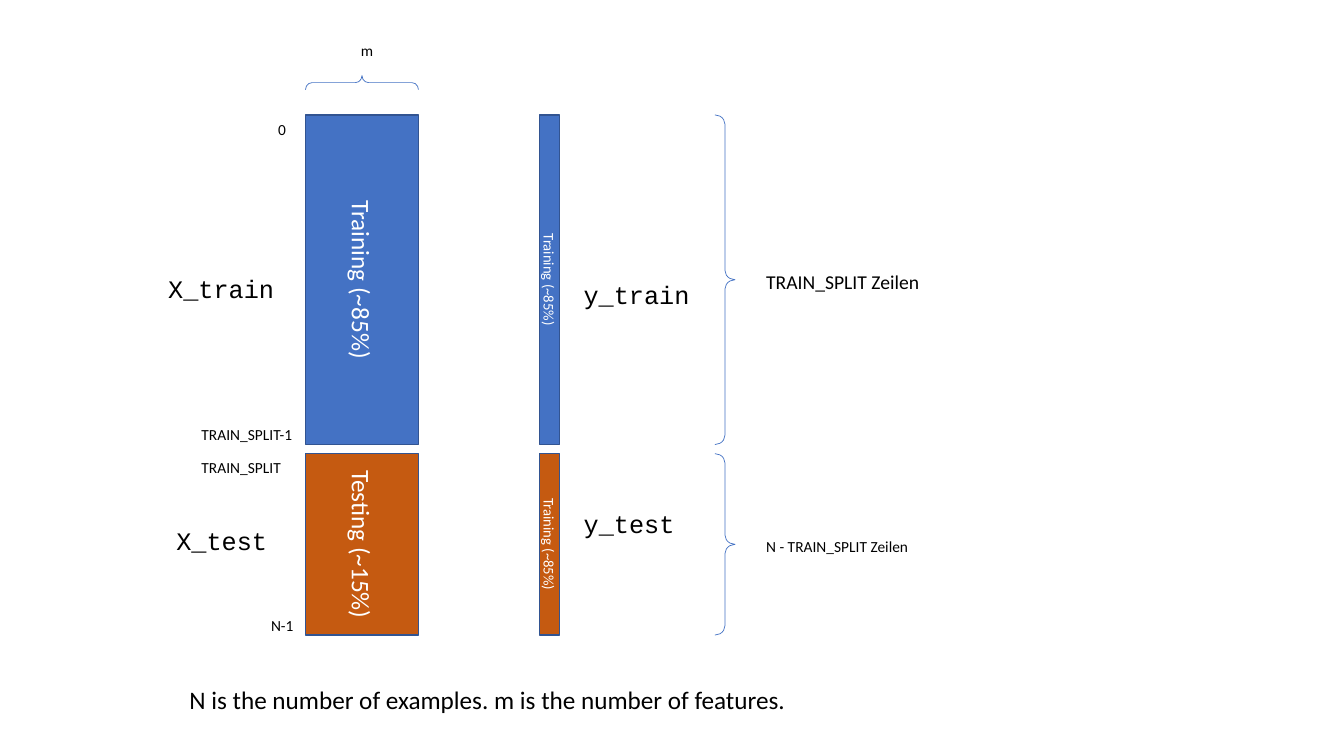
from pptx import Presentation
from pptx.dml.color import RGBColor
from pptx.enum.shapes import MSO_SHAPE
from pptx.enum.text import MSO_ANCHOR, MSO_AUTO_SIZE, PP_ALIGN
from pptx.util import Inches, Pt

RECTANGLE = MSO_SHAPE.RECTANGLE
LEFT_BRACE = MSO_SHAPE.LEFT_BRACE
MIDDLE = MSO_ANCHOR.MIDDLE
CENTER = PP_ALIGN.CENTER
FIT_SHAPE = MSO_AUTO_SIZE.SHAPE_TO_FIT_TEXT

COLORS = {"train": "4472C4", "test": "C55A11", "outline": "325491",
          "brace": "4472C4", "text": "000000", "bar_text": "FFFFFF"}
BODY, CODE = "Calibri", "Courier New"

# Grid in inches: (start, extent) of each column and row
COLUMNS = {"X": (3.03, 1.12), "y": (5.35, 0.2), "braces": (7.09, 0.2)}
ROWS = {"features": (0.75, 0.14), "train": (1.14, 3.27), "test": (4.5, 1.8)}
LINE_HEIGHT = {11: 0.29, 14: 0.34, 18: 0.4}
INDEX_LEFT, CODE_LEFT, COUNT_LEFT = 1.9, 5.69, 7.5


def color(name):
    return RGBColor.from_string(COLORS[name])


def format_text(text_frame, text, size, font_name, color_name):
    text_frame.text = text
    font = text_frame.paragraphs[0].runs[0].font
    font.size, font.name = Pt(size), font_name
    font.color.rgb = color(color_name)


def add_rotated(slide, kind, column, row, rotation, line_color, line_width):
    """Add a shape that fills a grid cell once it has been rotated."""
    (left, width), (top, height) = COLUMNS[column], ROWS[row]
    center_x, center_y = left + width / 2, top + height / 2
    if rotation == 90:
        width, height = height, width
    shape = slide.shapes.add_shape(
        kind, Inches(center_x - width / 2), Inches(center_y - height / 2),
        Inches(width), Inches(height))
    shape.rotation = rotation
    shape.shadow.inherit = False
    shape.line.color.rgb = color(line_color)
    shape.line.width = Pt(line_width)
    return shape


def add_bar(slide, column, row, text, size):
    bar = add_rotated(slide, RECTANGLE, column, row, 90, "outline", 1)
    bar.fill.solid()
    bar.fill.fore_color.rgb = color(row)
    format_text(bar.text_frame, text, size, BODY, "bar_text")
    bar.text_frame.vertical_anchor = MIDDLE
    bar.text_frame.paragraphs[0].alignment = CENTER


def add_brace(slide, column, row, rotation):
    brace = add_rotated(slide, LEFT_BRACE, column, row, rotation, "brace", 0.5)
    brace.fill.background()
    brace.adjustments[0] = 0.464
    brace.adjustments[1] = 0.5


def add_label(slide, text, left, top, width, size=11, font_name=BODY):
    label = slide.shapes.add_textbox(Inches(left), Inches(top), Inches(width),
                                     Inches(LINE_HEIGHT[size]))
    label.text_frame.word_wrap = False
    label.text_frame.auto_size = FIT_SHAPE
    format_text(label.text_frame, text, size, font_name, "text")


def main():
    presentation = Presentation()
    presentation.slide_width = Inches(13.33)
    presentation.slide_height = Inches(7.5)
    slide = presentation.slides.add_slide(presentation.slide_layouts[6])

    # Data blocks: feature matrix X and target vector y
    for column, row, text, size in (
            ("X", "train", "Training (~85%)", 18),
            ("X", "test", "Testing (~15%)", 18),
            ("y", "train", "Training (~85%)", 10.5),
            ("y", "test", "Training (~85%)", 10.5)):
        add_bar(slide, column, row, text, size)

    # Braces over the features and beside the rows
    add_brace(slide, "X", "features", 90)
    for row in ("train", "test"):
        add_brace(slide, "braces", row, 180)

    # Row indices and feature count
    for text, left, top, width in (
            ("0", 2.66, ROWS["train"][0], 0.28),
            ("TRAIN_SPLIT-1", INDEX_LEFT, 4.17, 1.12),
            ("TRAIN_SPLIT", INDEX_LEFT, ROWS["test"][0], 0.99),
            ("N-1", 2.59, 6.06, 0.43),
            ("m", 3.48, 0.36, 0.32)):
        add_label(slide, text, left, top, width)

    # Variable names
    for text, left, top, width in (
            ("X_train", 1.57, 2.66, 1.26),
            ("X_test", 1.65, 5.16, 1.11),
            ("y_train", CODE_LEFT, 2.72, 1.26),
            ("y_test", CODE_LEFT, 4.99, 1.11)):
        add_label(slide, text, left, top, width, 18, CODE)

    # Row counts and explanation
    add_label(slide, "TRAIN_SPLIT Zeilen", COUNT_LEFT, 2.63, 1.73, 14)
    add_label(slide, "N - TRAIN_SPLIT Zeilen", COUNT_LEFT, 5.28, 1.62)
    add_label(slide, "N is the number of examples. m is the number of features.",
              1.78, 6.74, 6.2, 18)

    presentation.save("out.pptx")


main()
